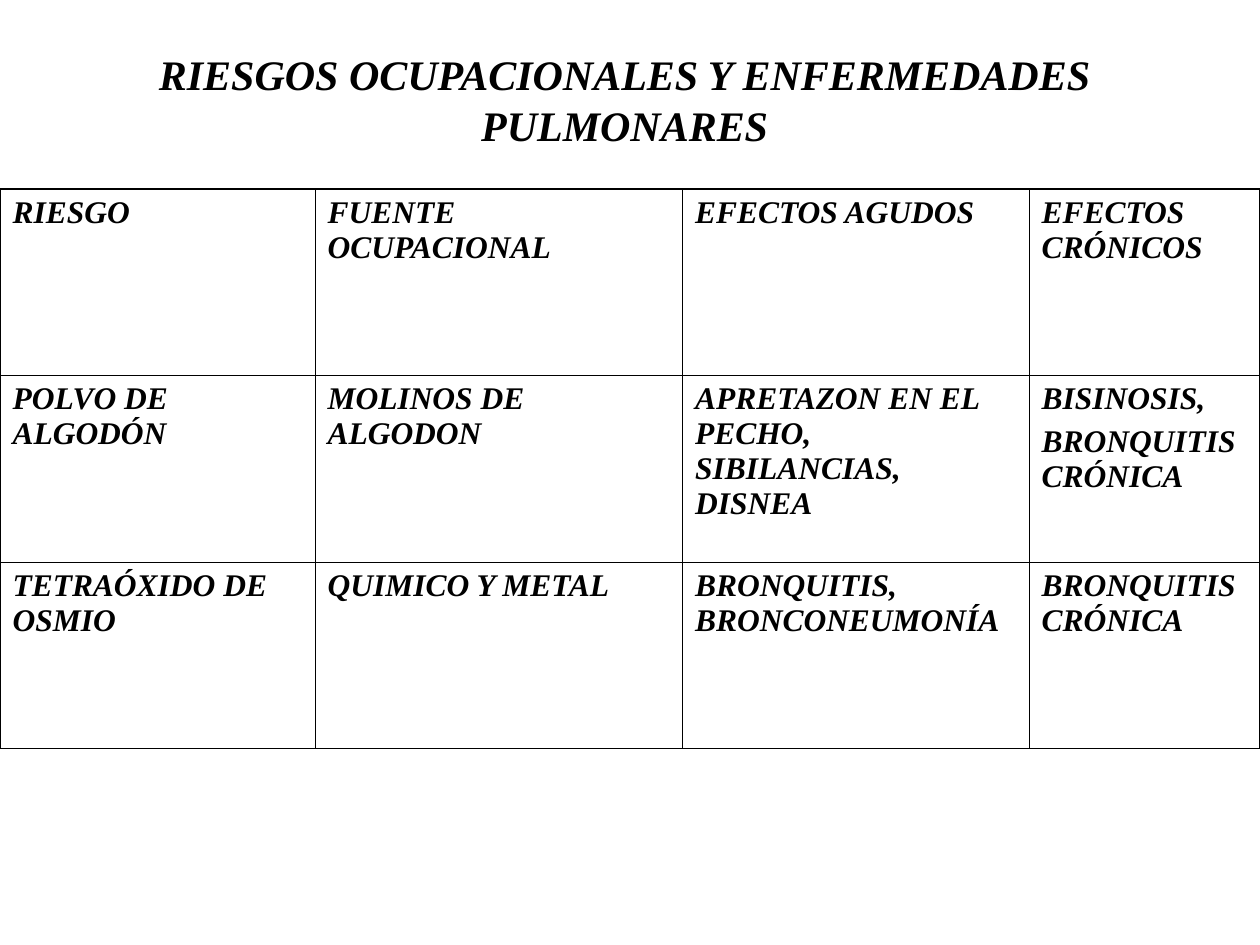
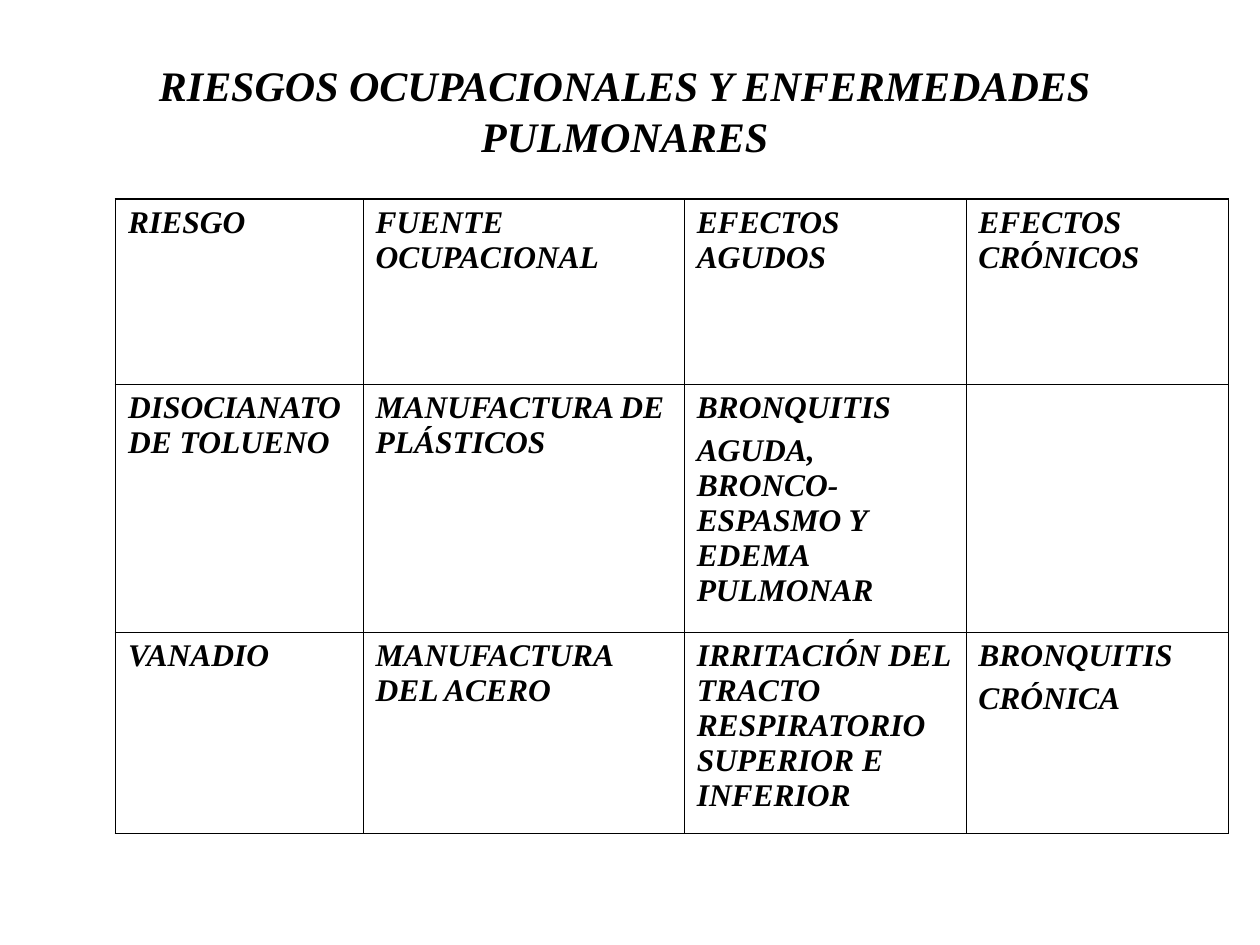
"""Build two slides with tables of occupational risks and lung diseases."""
from lxml import etree
from pptx import Presentation
from pptx.dml.color import RGBColor
from pptx.enum import text
from pptx.oxml import ns
from pptx.util import Pt

BLACK = RGBColor(0, 0, 0)
WHITE = RGBColor(255, 255, 255)
FONT = "Times New Roman"
TITLE = "RIESGOS OCUPACIONALES Y ENFERMEDADES PULMONARES"
HEADER = ["RIESGO", "FUENTE OCUPACIONAL", "EFECTOS AGUDOS", "EFECTOS CRÓNICOS"]
OUTER, INNER = 1.08, 0.45

SLIDES = [
    {
        "title": (36, 24, 642, 65),
        "origin": (0, 108),
        "cols": [180, 210, 198, 132],
        "rows": [106.6, 106.6, 106.6],
        "body": [
            ["POLVO DE ALGODÓN", "MOLINOS DE ALGODON",
             "APRETAZON EN EL PECHO, SIBILANCIAS, DISNEA",
             "BISINOSIS,\nBRONQUITIS CRÓNICA"],
            ["TETRAÓXIDO DE OSMIO", "QUIMICO Y METAL",
             "BRONQUITIS, BRONCONEUMONÍA", "BRONQUITIS CRÓNICA"],
        ],
    },
    {
        "title": (60, 30, 594, 65),
        "origin": (66, 113.75),
        "cols": [141.5, 183.5, 161, 150],
        "rows": [106, 141.5, 115],
        "body": [
            ["DISOCIANATO DE TOLUENO", "MANUFACTURA DE PLÁSTICOS",
             "BRONQUITIS\nAGUDA, BRONCO-ESPASMO Y EDEMA PULMONAR", ""],
            ["VANADIO", "MANUFACTURA DEL ACERO",
             "IRRITACIÓN DEL TRACTO RESPIRATORIO SUPERIOR E INFERIOR",
             "BRONQUITIS\nCRÓNICA"],
        ],
    },
]


def style(p, size):
    p.font.name = FONT
    p.font.size = Pt(size)
    p.font.bold = p.font.italic = True
    p.font.color.rgb = BLACK
    for r in p.runs:
        r.font.name = FONT
        r.font.size = Pt(size)


def set_borders(cell, widths):
    tc_pr = cell._tc.get_or_add_tcPr()
    for i, (side, width) in enumerate(widths.items()):
        ln = etree.Element(ns.qn(f"a:ln{side}"), w=str(Pt(width)))
        fill = etree.SubElement(ln, ns.qn("a:solidFill"))
        etree.SubElement(fill, ns.qn("a:srgbClr"), val=str(BLACK))
        tc_pr.insert(i, ln)


prs = Presentation()
prs.slide_width, prs.slide_height = Pt(720), Pt(540)

for data in SLIDES:
    s = prs.slides.add_slide(prs.slide_layouts[5])
    s.background.fill.solid()
    s.background.fill.fore_color.rgb = WHITE

    sp = s.shapes.title
    sp.left, sp.top, sp.width, sp.height = [Pt(v) for v in data["title"]]
    tf = sp.text_frame
    tf.text = TITLE
    tf.word_wrap = True
    tf.auto_size = text.MSO_AUTO_SIZE.NONE
    tf.vertical_anchor = text.MSO_ANCHOR.TOP
    p = tf.paragraphs[0]
    p.alignment = text.PP_ALIGN.CENTER
    p.line_spacing = Pt(29.1)
    style(p, 24)

    cols, rows = data["cols"], data["rows"]
    left, top = data["origin"]
    table = s.shapes.add_table(len(rows), len(cols), Pt(left), Pt(top),
                               Pt(sum(cols)), Pt(sum(rows))).table
    table.first_row = table.horz_banding = False
    for col, width in zip(table.columns, cols):
        col.width = Pt(width)
    for row, height in zip(table.rows, rows):
        row.height = Pt(height)

    for i, texts in enumerate([HEADER] + data["body"]):
        for j, value in enumerate(texts):
            cell = table.cell(i, j)
            cell.fill.background()
            cell.margin_left = cell.margin_right = Pt(7.2)
            cell.margin_top = cell.margin_bottom = Pt(3.6)
            cell.text_frame.text = value
            for n, p in enumerate(cell.text_frame.paragraphs):
                p.space_before = Pt(4.5 if n else 0)
                style(p, 18)
            set_borders(cell, {
                "L": OUTER if j == 0 else INNER,
                "R": OUTER if j == len(cols) - 1 else INNER,
                "T": OUTER if i == 0 else INNER,
                "B": OUTER if i == len(rows) - 1 else INNER,
            })

prs.save("out.pptx")
